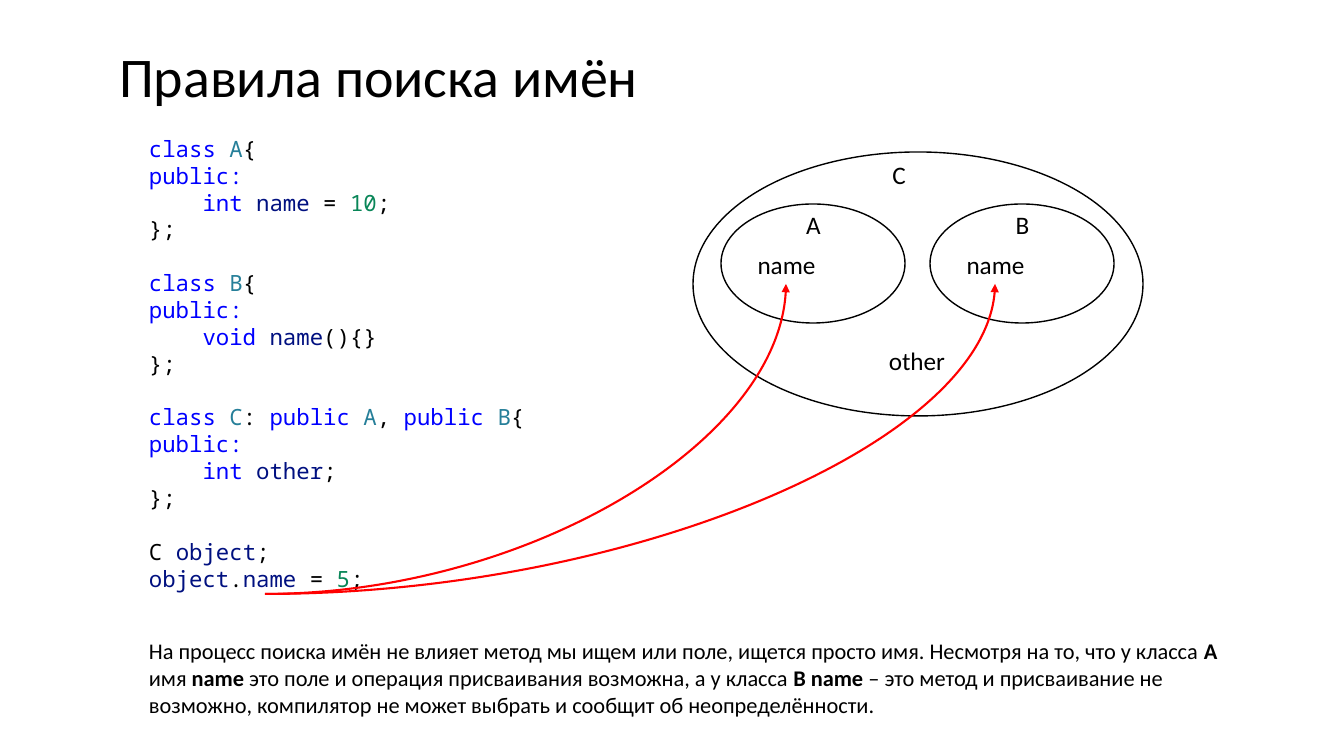
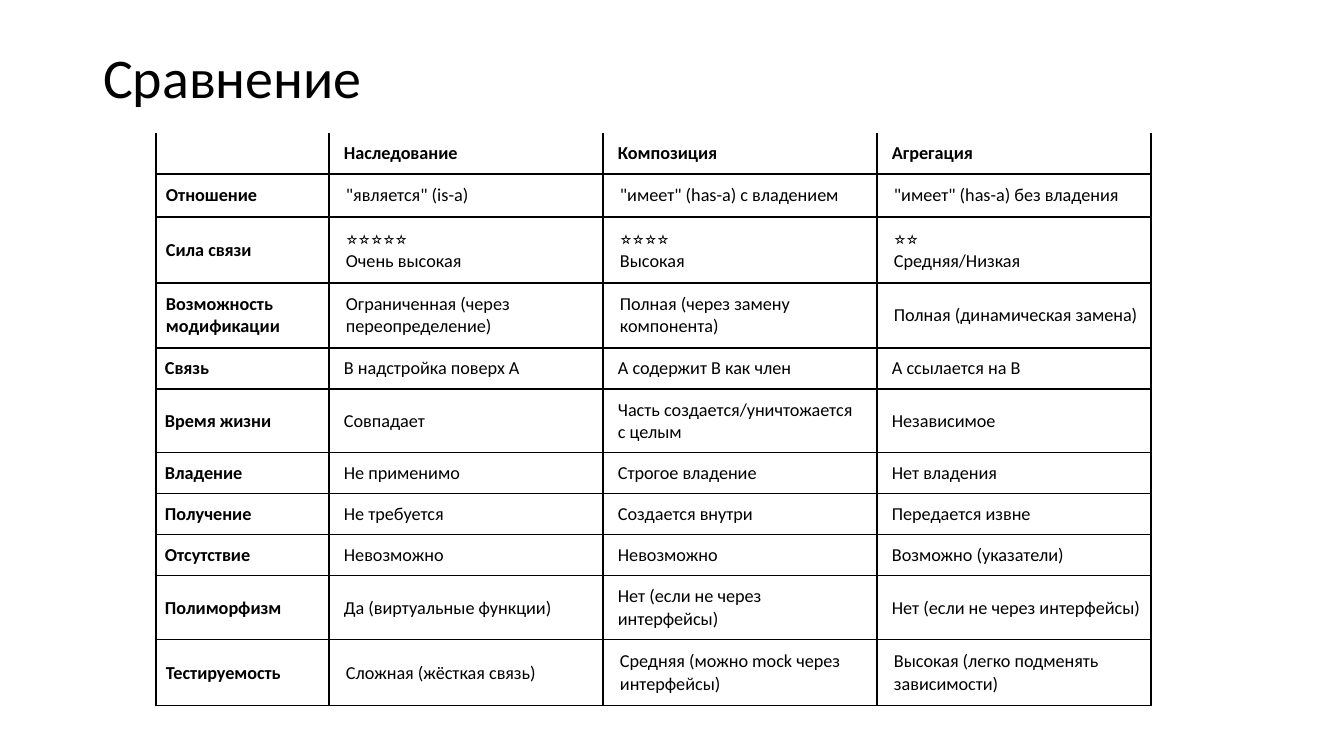
from dataclasses import dataclass
from typing import Any, NamedTuple

from lxml.etree import SubElement
from pptx import Presentation
from pptx.dml.color import RGBColor
from pptx.enum.shapes import MSO_CONNECTOR as Link, MSO_SHAPE as Preset
from pptx.enum.text import MSO_ANCHOR as Anchor, PP_ALIGN as Align
from pptx.oxml.ns import qn
from pptx.util import Emu, Pt

PX = 914400 / 100.8
SANS, MONO = "Calibri", "Noto Sans Mono"
BLACK, WHITE, RED = "000000", "FFFFFF", "FF0000"
KEYWORD, CLASS, FIELD, NUMBER = "0000FF", "267F99", "001080", "098658"
PLAIN_TABLE = "{2D5ABB26-0587-4C30-8999-92F81FD0307C}"
CODE_PITCH = Pt(19.2)


class Run(NamedTuple):
    text: str
    color: str = BLACK
    bold: bool = False


class Box(NamedTuple):
    left: int
    top: int
    width: int
    height: int

    def emu(self) -> list[Emu]:
        return [px(value) for value in self]


@dataclass
class Label:
    text: str
    box: Box


@dataclass
class ClassScope:
    outline: Box
    labels: list[Label]


@dataclass
class Comparison:
    height: int
    cells: list[str]
    roomy: bool = False


def px(value: int) -> Emu:
    return Emu(round(value * PX))


def rgb(value: str) -> RGBColor:
    return RGBColor.from_string(value)


def apply(target: Any, values: dict[str, Any]) -> None:
    for key, value in values.items():
        setattr(target, key, value)


def write(paragraph: Any, runs: list[Run], size: int, font: str = SANS) -> None:
    for item in runs:
        run = paragraph.add_run()
        run.text = item.text
        apply(run.font, {"size": Pt(size), "name": font, "bold": item.bold})
        run.font.color.rgb = rgb(item.color)


def add_titled_slide(deck: Any, title: str, box: Box) -> Any:
    slide = deck.slides.add_slide(deck.slide_layouts[5])
    heading = slide.shapes.title
    apply(heading, dict(zip(("left", "top", "width", "height"), box.emu())))
    heading.text_frame.vertical_anchor = Anchor.MIDDLE
    paragraph = heading.text_frame.paragraphs[0]
    apply(paragraph, {"alignment": Align.LEFT, "line_spacing": 0.9})
    write(paragraph, [Run(title)], 40)
    return slide


def add_text(slide: Any, box: Box, wrap: bool = True) -> Any:
    frame = slide.shapes.add_textbox(*box.emu()).text_frame
    frame.word_wrap = wrap
    return frame


def add_code(slide: Any, box: Box, blocks: list[list[list[Run]]]) -> None:
    frame = add_text(slide, box)
    paragraph = frame.paragraphs[0]
    for block_index, block in enumerate(blocks):
        for line_index, line in enumerate(block):
            if block_index or line_index:
                paragraph = frame.add_paragraph()
            paragraph.line_spacing = CODE_PITCH
            if block_index and not line_index:
                paragraph.space_before = CODE_PITCH
            write(paragraph, line, 16, MONO)


def add_scope(slide: Any, scope: ClassScope) -> None:
    oval = slide.shapes.add_shape(Preset.OVAL, *scope.outline.emu())
    oval.shadow.inherit = False
    oval.fill.solid()
    oval.fill.fore_color.rgb = rgb(WHITE)
    oval.line.color.rgb = rgb(BLACK)
    oval.line.width = Pt(1)
    for label in scope.labels:
        paragraph = add_text(slide, label.box, wrap=False).paragraphs[0]
        paragraph.alignment = Align.CENTER
        write(paragraph, [Run(label.text)], 18)


def add_lookup_arrow(slide: Any, start: tuple[int, int], end: tuple[int, int]) -> None:
    arrow = slide.shapes.add_connector(Link.CURVE, *map(px, start + end))
    arrow.line.color.rgb = rgb(RED)
    arrow.line.width = Pt(1.5)
    properties = arrow.element.spPr
    properties.find(qn("a:prstGeom")).set("prst", "curvedConnector2")
    SubElement(properties.find(qn("a:ln")), qn("a:tailEnd"), type="triangle")
    SubElement(properties, qn("a:effectLst"))


def add_borders(cell: Any, has_top: bool) -> None:
    properties = cell._tc.get_or_add_tcPr()
    for index, side in enumerate(("lnL", "lnR", "lnT", "lnB")):
        visible = side != "lnT" or has_top
        line = properties.makeelement(qn(f"a:{side}"), {"w": str(Pt(1))})
        fill = SubElement(line, qn("a:solidFill" if visible else "a:noFill"))
        if visible:
            SubElement(fill, qn("a:srgbClr"), val=BLACK)
        properties.insert(index, line)


def fill_cell(cell: Any, text: str, row: int, column: int, roomy: bool) -> None:
    cell.fill.background()
    add_borders(cell, has_top=row > 0)
    if not text:
        return
    narrow, wide = (10, 17) if roomy else (9, 15)
    apply(cell, {
        "vertical_anchor": Anchor.MIDDLE,
        "margin_left": px(wide if column else narrow),
        "margin_right": px(narrow if column == 3 and row else wide),
        "margin_top": px(narrow),
        "margin_bottom": px(narrow),
    })
    frame = cell.text_frame
    for index, line in enumerate(text.split("\n")):
        paragraph = frame.add_paragraph() if index else frame.paragraphs[0]
        write(paragraph, [Run(line, bold=not row or not column)], 13)


def add_comparison(slide: Any, left: int, top: int, widths: list[int],
                   rows: list[Comparison]) -> None:
    box = Box(left, top, sum(widths), sum(row.height for row in rows))
    frame = slide.shapes.add_table(len(rows), len(widths), *box.emu())
    table = frame.table
    apply(table, {"first_row": False, "horz_banding": False})
    table._tbl.tblPr.find(qn("a:tableStyleId")).text = PLAIN_TABLE
    for column, width in zip(table.columns, widths):
        column.width = px(width)
    for row_index, row in enumerate(rows):
        table.rows[row_index].height = px(row.height)
        for column_index, text in enumerate(row.cells):
            fill_cell(table.cell(row_index, column_index), text,
                      row_index, column_index, row.roomy)


PUBLIC = [Run("public:", KEYWORD)]
CLOSE = [Run("};")]
CODE = [
    [
        [Run("class ", KEYWORD), Run("A", CLASS), Run("{")],
        PUBLIC,
        [Run("    int ", KEYWORD), Run("name", FIELD), Run(" = "),
         Run("10", NUMBER), Run(";")],
        CLOSE,
    ],
    [
        [Run("class ", KEYWORD), Run("B", CLASS), Run("{")],
        PUBLIC,
        [Run("    void ", KEYWORD), Run("name", FIELD), Run("(){}")],
        CLOSE,
    ],
    [
        [Run("class ", KEYWORD), Run("C", CLASS), Run(": "),
         Run("public ", KEYWORD), Run("A", CLASS), Run(", "),
         Run("public ", KEYWORD), Run("B", CLASS), Run("{")],
        PUBLIC,
        [Run("    int ", KEYWORD), Run("other", FIELD), Run(";")],
        CLOSE,
    ],
    [
        [Run("С "), Run("object", FIELD), Run(";")],
        [Run("object", FIELD), Run("."), Run("name", FIELD), Run(" = "),
         Run("5", NUMBER), Run(";")],
    ],
]
EXPLANATION = [
    Run("На процесс поиска имён не влияет метод мы ищем или поле, ищется просто "
        "имя. Несмотря на то, что у класса "),
    Run("A ", bold=True),
    Run("имя "),
    Run("name ", bold=True),
    Run("это поле и операция присваивания возможна, а у класса "),
    Run("B name ", bold=True),
    Run("– это метод и присваивание не возможно, компилятор не может выбрать и "
        "сообщит об неопределённости."),
]
DERIVED = ClassScope(Box(693, 152, 450, 264), [
    Label("C", Box(882, 154, 34, 40)),
    Label("other", Box(878, 340, 78, 40)),
])
BASES = [
    ClassScope(Box(left, 204, 184, 119), [
        Label(name, Box(left + 75, 204, 35, 40)),
        Label("name", Box(left + 26, 244, 79, 40)),
    ])
    for name, left in (("A", 721), ("B", 930))
]
COMPARISONS = [
    Comparison(41, ["", "Наследование", "Композиция", "Агрегация"]),
    Comparison(43, ["Отношение", '"является" (is-a)', '"имеет" (has-a) с владением',
                    '"имеет" (has-a) без владения'], roomy=True),
    Comparison(66, ["Сила связи", "⭐⭐⭐⭐⭐\nОчень высокая", "⭐⭐⭐⭐\nВысокая",
                    "⭐⭐\nСредняя/Низкая"], roomy=True),
    Comparison(65, ["Возможность модификации", "Ограниченная (через переопределение)",
                    "Полная (через замену компонента)",
                    "Полная (динамическая замена)"], roomy=True),
    Comparison(41, ["Связь", "B надстройка поверх А", "A содержит B как член",
                    "A ссылается на B"]),
    Comparison(64, ["Время жизни", "Совпадает", "Часть создается/уничтожается с целым",
                    "Независимое"]),
    Comparison(41, ["Владение", "Не применимо", "Строгое владение", "Нет владения"]),
    Comparison(41, ["Получение", "Не требуется", "Создается внутри",
                    "Передается извне"]),
    Comparison(41, ["Отсутствие", "Невозможно", "Невозможно", "Возможно (указатели)"]),
    Comparison(64, ["Полиморфизм", "Да (виртуальные функции)",
                    "Нет (если не через интерфейсы)",
                    "Нет (если не через интерфейсы)"]),
    Comparison(66, ["Тестируемость", "Сложная (жёсткая связь)",
                    "Средняя (можно mock через интерфейсы)",
                    "Высокая (легко подменять зависимости)"], roomy=True),
]


def main() -> None:
    deck = Presentation()
    apply(deck, {"slide_width": px(1344), "slide_height": px(756)})

    lookup = add_titled_slide(deck, "Правила поиска имён", Box(109, 39, 1159, 80))
    add_code(lookup, Box(139, 130, 672, 472), CODE)
    for scope in [DERIVED, *BASES]:
        add_scope(lookup, scope)
    write(add_text(lookup, Box(139, 632, 1113, 92)).paragraphs[0], EXPLANATION, 16)
    for base in BASES:
        add_lookup_arrow(lookup, (265, 594), (base.outline.left + 65, 284))

    comparison = add_titled_slide(deck, "Сравнение", Box(93, 40, 1159, 80))
    add_comparison(comparison, 156, 133, [173, 274, 274, 274], COMPARISONS)

    deck.save("out.pptx")


if __name__ == "__main__":
    main()
